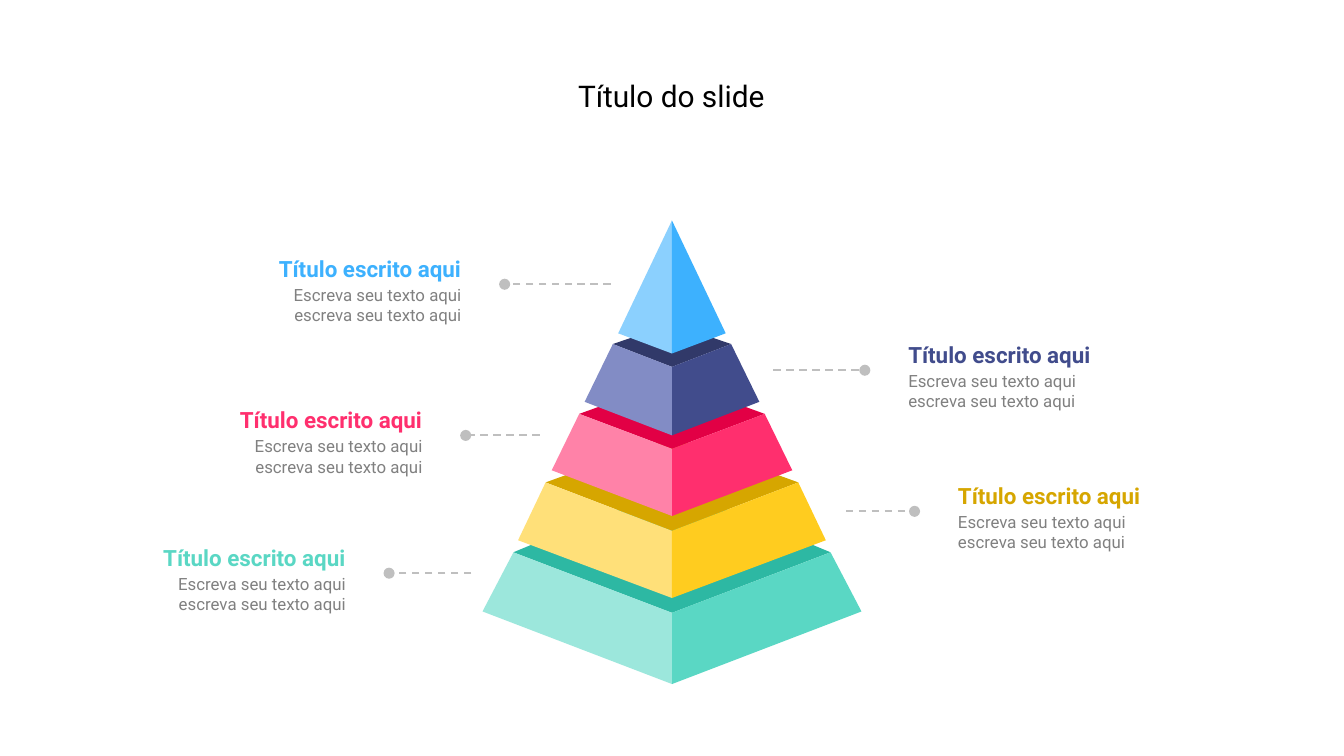
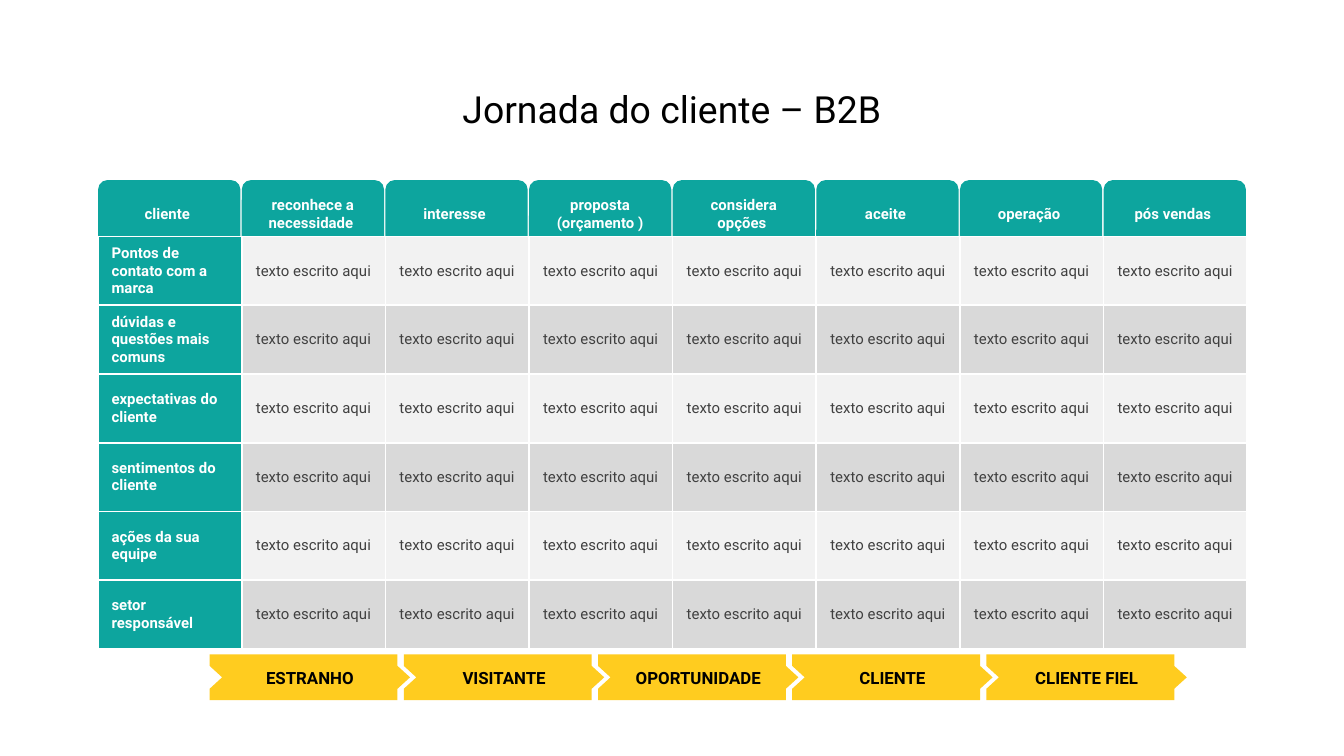
from dataclasses import dataclass

from lxml.etree import SubElement
from pptx import Presentation
from pptx.dml.color import RGBColor
from pptx.enum.dml import MSO_LINE
from pptx.enum.shapes import MSO_CONNECTOR, MSO_SHAPE
from pptx.enum.text import MSO_ANCHOR, MSO_AUTO_SIZE, PP_ALIGN
from pptx.oxml import parse_xml
from pptx.oxml.ns import nsdecls, qn
from pptx.util import Inches, Pt

# Slide grid: square cells, 100 columns across the width
COLUMNS, ROWS = 100, 56.25
CELL = Inches(10) / COLUMNS

FONT = "Roboto"
BLACK = RGBColor(0x00, 0x00, 0x00)
WHITE = RGBColor(0xFF, 0xFF, 0xFF)
BODY_GRAY = RGBColor(0x80, 0x80, 0x80)
POINTER_GRAY = RGBColor(0xBF, 0xBF, 0xBF)
CELL_TEXT = RGBColor(0x40, 0x40, 0x40)
LIGHT_ROW = RGBColor(0xF2, 0xF2, 0xF2)
DARK_ROW = RGBColor(0xD9, 0xD9, 0xD9)
TEAL = RGBColor(0x0D, 0xA5, 0x9E)

SKY = RGBColor(0x3D, 0xB1, 0xFE)
SKY_LIGHT = RGBColor(0x8B, 0xD0, 0xFE)
INDIGO = RGBColor(0x41, 0x4C, 0x8C)
INDIGO_LIGHT = RGBColor(0x82, 0x8C, 0xC5)
INDIGO_DARK = RGBColor(0x31, 0x39, 0x69)
PINK = RGBColor(0xFF, 0x2F, 0x6E)
PINK_LIGHT = RGBColor(0xFF, 0x82, 0xA8)
PINK_DARK = RGBColor(0xE2, 0x00, 0x45)
YELLOW = RGBColor(0xFF, 0xCC, 0x1F)
YELLOW_LIGHT = RGBColor(0xFF, 0xE0, 0x79)
YELLOW_DARK = RGBColor(0xD6, 0xA6, 0x00)
MINT = RGBColor(0x5A, 0xD7, 0xC4)
MINT_LIGHT = RGBColor(0x9C, 0xE7, 0xDC)
MINT_DARK = RGBColor(0x2D, 0xB8, 0xA3)


@dataclass
class Box:
    """A rectangle in grid columns and rows."""
    left: float
    top: float
    width: float
    height: float

    def inner(self, left, top, width, height):
        return Box(self.left + left, self.top + top, width, height)

    def lengths(self):
        return [to_emu(n) for n in (self.left, self.top, self.width, self.height)]


# Pyramid tiers, from the base up, measured from the apex:
# back row, lid half width, lid corner row, lid front row,
# base half width, base corner row, base front row, left, right and lid colours
TIERS = [
    (19.8, 11.8, 24.7, 29.2, 14.1, 29.1, 34.5, MINT_LIGHT, MINT, MINT_DARK),
    (16.1, 9.4, 19.5, 23.1, 11.45, 23.8, 28.1, YELLOW_LIGHT, YELLOW, YELLOW_DARK),
    (11.9, 6.9, 14.4, 17, 8.95, 18.6, 22, PINK_LIGHT, PINK, PINK_DARK),
    (7.7, 4.4, 9.2, 10.9, 6.5, 13.5, 16, INDIGO_LIGHT, INDIGO, INDIGO_DARK),
    (0, 0, 0, 0, 4, 8.4, 9.9, SKY_LIGHT, SKY, None),
]

# Callouts: box, is it on the left, pointer length, heading colour
CALLOUTS = [
    (Box(16.3, 18.5, 19, 6.2), True, 7.9, SKY),
    (Box(66.6, 24.9, 18.3, 6.2), False, 6.8, INDIGO),
    (Box(13.4, 29.75, 19, 6.2), True, 5.5, PINK),
    (Box(70.3, 35.4, 18.3, 6.2), False, 5.1, YELLOW_DARK),
    (Box(7.7, 40, 19, 6.2), True, 6.1, MINT),
]

PHASES = ["cliente ", "reconhece a necessidade ", "interesse ",
          "proposta (orçamento )", "considera opções ", "aceite ",
          "operação ", "pós vendas "]
TOPICS = ["Pontos de contato com a marca", "dúvidas e questões mais comuns",
          "expectativas do cliente", "sentimentos do cliente",
          "ações da sua equipe", "setor responsável"]
STAGES = ["ESTRANHO", "VISITANTE", "OPORTUNIDADE", "CLIENTE", "CLIENTE FIEL"]


def to_emu(cells):
    return round(cells * CELL)


def write(frame, text, size, color, bold=False, align=PP_ALIGN.LEFT,
          anchor=MSO_ANCHOR.MIDDLE):
    frame.word_wrap = True
    frame.vertical_anchor = anchor
    para = frame.paragraphs[0]
    para.alignment = align
    span = para.add_run()
    span.text = text
    span.font.name = FONT
    span.font.size = Pt(size)
    span.font.bold = bold
    span.font.color.rgb = color


def paint(shape, color):
    shape.shadow.inherit = False
    shape.fill.solid()
    shape.fill.fore_color.rgb = color
    shape.line.fill.background()


def add_polygon(shapes, box, points, color):
    """Draw an outline whose points are measured from the corner of the box."""
    corners = [(to_emu(box.left + x), to_emu(box.top + y)) for x, y in points]
    builder = shapes.build_freeform(*corners[0])
    builder.add_line_segments(corners[1:], close=True)
    polygon = builder.convert_to_shape()
    paint(polygon, color)
    return polygon


def add_page(deck, title, box, size):
    page = deck.slides.add_slide(deck.slide_layouts[5])
    heading = page.shapes.title
    heading.left, heading.top, heading.width, heading.height = box.lengths()
    frame = heading.text_frame
    frame.margin_left = frame.margin_right = Inches(0.02)
    frame.margin_top = frame.margin_bottom = Inches(0.02)
    frame.auto_size = MSO_AUTO_SIZE.SHAPE_TO_FIT_TEXT
    write(frame, title, size, BLACK, align=PP_ALIGN.CENTER, anchor=MSO_ANCHOR.TOP)
    return page


def add_label(page, box, text, size, color, bold, align):
    label = page.shapes.add_textbox(*box.lengths())
    label.text_frame.auto_size = MSO_AUTO_SIZE.SHAPE_TO_FIT_TEXT
    write(label.text_frame, text, size, color, bold, align)


def add_pyramid(page, box):
    middle = box.width / 2
    for (back, lid_half, lid_row, lid_front, base_half, base_row, base_front,
         left_color, right_color, lid_color) in TIERS:
        # Lid
        if lid_color is not None:
            lid = [(middle, back), (middle + lid_half, lid_row),
                   (middle, lid_front), (middle - lid_half, lid_row)]
            add_polygon(page.shapes, box, lid, lid_color)
        # Two mirrored faces
        for side, color in ((-1, left_color), (1, right_color)):
            face = [(middle, lid_front), (middle + side * lid_half, lid_row),
                    (middle + side * base_half, base_row), (middle, base_front)]
            add_polygon(page.shapes, box, face, color)


def add_pointer(page, start, end, row):
    pointer = page.shapes.add_connector(
        MSO_CONNECTOR.STRAIGHT, to_emu(start), to_emu(row), to_emu(end), to_emu(row))
    pointer.line.color.rgb = POINTER_GRAY
    pointer.line.width = Pt(1)
    pointer.line.dash_style = MSO_LINE.DASH
    SubElement(pointer.line._get_or_add_ln(), qn("a:tailEnd"), type="oval")
    SubElement(pointer._element.spPr, qn("a:effectLst"))


def add_callout(page, box, on_left, length, color):
    align = PP_ALIGN.RIGHT if on_left else PP_ALIGN.LEFT
    add_label(page, box.inner(0, 2.2, box.width, 4),
              "Escreva seu texto aqui escreva seu texto aqui",
              9, BODY_GRAY, False, align)
    add_label(page, box.inner(0, 0, box.width, 3),
              "Título escrito aqui", 12, color, True, align)
    # Dotted end beside the text, plain end toward the pyramid
    toward = 1 if on_left else -1
    dot = (box.left + box.width if on_left else box.left) + toward * 2.25
    add_pointer(page, dot + toward * length, dot, box.top + 2.65)


def add_phases(page, box):
    pitch = box.width / len(PHASES)
    for index, phase in enumerate(PHASES):
        tab_box = box.inner(index * pitch, 0, pitch - 0.1, box.height)
        tab = page.shapes.add_shape(MSO_SHAPE.ROUNDED_RECTANGLE, *tab_box.lengths())
        tab.adjustments[0] = 0.14
        paint(tab, TEAL)
        write(tab.text_frame, phase, 8, WHITE, True, PP_ALIGN.CENTER)


def set_cell(cell, text, fill, color, bold, align):
    write(cell.text_frame, text, 8, color, bold, align)
    cell.vertical_anchor = MSO_ANCHOR.MIDDLE
    cell.fill.solid()
    cell.fill.fore_color.rgb = fill
    # White borders go before the fill
    properties = cell._tc.get_or_add_tcPr()
    for position, side in enumerate("LRTB"):
        properties.insert(position, parse_xml(
            f'<a:ln{side} {nsdecls("a")} w="{Pt(1)}"><a:solidFill>'
            f'<a:srgbClr val="{WHITE}"/></a:solidFill></a:ln{side}>'))


def add_topics(page, box):
    table = page.shapes.add_table(len(TOPICS), len(PHASES), *box.lengths()).table
    table.first_row = table.horz_banding = False
    for column in table.columns:
        column.width = to_emu(box.width / len(PHASES))
    for index, topic in enumerate(TOPICS):
        table.rows[index].height = to_emu(box.height / len(TOPICS))
        first, *others = table.rows[index].cells
        set_cell(first, topic, TEAL, WHITE, True, PP_ALIGN.LEFT)
        for cell in others:
            set_cell(cell, "texto escrito aqui ", DARK_ROW if index % 2 else LIGHT_ROW,
                     CELL_TEXT, False, PP_ALIGN.CENTER)


def add_stages(page, box):
    group = page.shapes.add_group_shape()
    tip, gap = 0.93, 0.47
    body = (box.width - tip - gap * (len(STAGES) - 1)) / len(STAGES)
    middle, shoulder = box.height / 2, 0.85
    for index, stage in enumerate(STAGES):
        outline = [(0, 0), (body, 0), (body, shoulder), (body + tip, middle),
                   (body, box.height - shoulder), (body, box.height),
                   (0, box.height), (0, box.height - shoulder),
                   (tip, middle), (0, shoulder)]
        stage_box = box.inner(index * (body + gap), 0, body + tip, box.height)
        arrow = add_polygon(group.shapes, stage_box, outline, YELLOW)
        write(arrow.text_frame, stage, 9, BLACK, True, PP_ALIGN.CENTER)


def build_pyramid_page(deck):
    page = add_page(deck, "Título do slide", Box(37.1, 5.6, 25.7, 3.1), 16)
    add_pyramid(page, Box(35.9, 16.4, 28.2, 34.5))
    for callout in CALLOUTS:
        add_callout(page, *callout)


def build_journey_page(deck):
    page = add_page(deck, "Jornada do cliente – B2B", Box(30, 6.2, 40, 3.8), 20)
    add_phases(page, Box(7.3, 13.4, 85.5, 5))
    add_topics(page, Box(7.3, 17.6, 85.5, 30.7))
    add_stages(page, Box(15.6, 48.7, 72.7, 3.4))


def main():
    deck = Presentation()
    deck.slide_width, deck.slide_height = to_emu(COLUMNS), to_emu(ROWS)
    build_pyramid_page(deck)
    build_journey_page(deck)
    deck.save("out.pptx")


if __name__ == "__main__":
    main()
